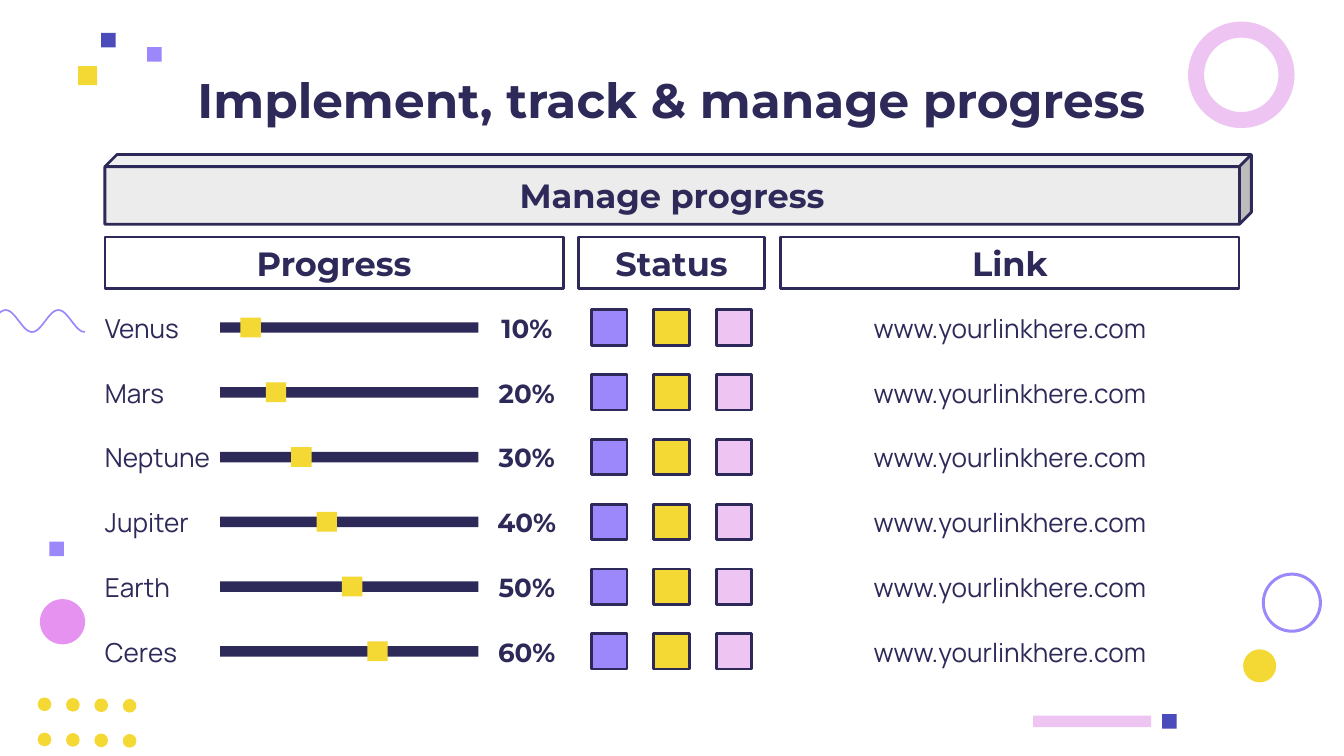
from math import cos, pi

from pptx import Presentation
from pptx.dml.color import RGBColor
from pptx.enum.shapes import MSO_SHAPE
from pptx.enum.text import MSO_ANCHOR, PP_ALIGN
from pptx.util import Pt

NAVY = RGBColor(0x2D, 0x29, 0x58)
BLUE = RGBColor(0x4B, 0x4B, 0xBB)
LILAC = RGBColor(0x9C, 0x88, 0xFA)
YELLOW = RGBColor(0xF4, 0xD8, 0x34)
PINK = RGBColor(0xED, 0xC4, 0xF2)
ROSE = RGBColor(0xE5, 0x92, 0xF1)
GREY = RGBColor(0xEC, 0xEC, 0xEC)
WHITE = RGBColor(0xFF, 0xFF, 0xFF)

HEAD, BODY = "Montserrat", "Manrope"
LEFT, TOP, PITCH, HIGH = 56.2, 162, 34.7, 27.4
LINK_X, WIDE = 418.3, 245.5


class Board:
    """Draws styled elements on the current slide, with lengths in points."""

    def __init__(self, slide):
        self.slide = slide
        self.shapes = slide.shapes
        fill = slide.background.fill
        fill.solid()
        fill.fore_color.rgb = WHITE

    def paint(self, shape, fill, line, width):
        shape.shadow.inherit = False
        if fill is None:
            shape.fill.background()
        else:
            shape.fill.solid()
            shape.fill.fore_color.rgb = fill
        if line is None:
            shape.line.fill.background()
        else:
            shape.line.color.rgb = line
            shape.line.width = Pt(width)

    def shape(self, kind, x, y, w, h, fill=None, line=None, adj=None):
        item = self.shapes.add_shape(kind, Pt(x), Pt(y), Pt(w), Pt(h))
        self.paint(item, fill, line, 1.5)
        if adj is not None:
            item.adjustments[0] = adj
        return item

    def rect(self, x, y, w, h, fill=None, line=None):
        return self.shape(MSO_SHAPE.RECTANGLE, x, y, w, h, fill, line)

    def disc(self, x, y, size, fill):
        return self.shape(MSO_SHAPE.OVAL, x, y, size, size, fill)

    def ring(self, x, y, size, fill, adj):
        return self.shape(MSO_SHAPE.DONUT, x, y, size, size, fill, adj=adj)

    def wave(self, x, y, period, height, turns, color):
        steps = int(turns * 24)
        dots = [(Pt(x + period * i / 24), Pt(y - height * cos(2 * pi * i / 24)))
                for i in range(steps + 1)]
        curve = self.shapes.build_freeform(*dots[0])
        curve.add_line_segments(dots[1:], close=False)
        self.paint(curve.convert_to_shape(), None, color, 0.9)

    def label(self, shape, text, size, font=HEAD, bold=True, inset=7.2,
              align=PP_ALIGN.CENTER):
        frame = shape.text_frame
        frame.word_wrap = True
        frame.vertical_anchor = MSO_ANCHOR.MIDDLE
        frame.margin_left = frame.margin_right = Pt(inset)
        frame.margin_top = frame.margin_bottom = Pt(inset)
        para = frame.paragraphs[0]
        para.alignment = align
        run = para.add_run()
        run.text = text
        run.font.name, run.font.size, run.font.bold = font, Pt(size), bold
        run.font.color.rgb = NAVY

    def text(self, x, y, w, h, text, size, **style):
        box = self.shapes.add_textbox(Pt(x), Pt(y), Pt(w), Pt(h))
        self.label(box, text, size, **style)


def decor(board):
    for col in range(4):
        for y in (373.7, 392.5):
            board.disc(20.2 + 15.2 * col, y + 0.25 * col, 7.3, YELLOW)
    board.wave(-25.2, 172, 28.24, 5.9, 2.5, LILAC)
    board.ring(636.5, 11.6, 57, PINK, 0.15)
    board.ring(676, 306.8, 32.2, LILAC, 0.05)
    board.disc(21.4, 321, 24.2, ROSE)
    board.disc(666, 347.9, 17.7, YELLOW)
    board.rect(553.5, 383.4, 63.2, 6.2, PINK)
    board.rect(41.8, 35.4, 10.3, 10.3, YELLOW)
    for x, y, fill in ((622.6, 382.6, BLUE), (78.8, 25.2, LILAC),
                       (54.1, 17.6, BLUE), (26.4, 290.2, LILAC)):
        board.rect(x, y, 7.8, 7.8, fill)


def header(board):
    cube = board.shape(MSO_SHAPE.CUBE, LEFT, 82.8, 614.2, 37.4, GREY, NAVY, 0.173)
    board.label(cube, "Manage progress", 18)
    board.text(59.8, 30.3, 600.4, 45.4, "Implement, track & manage progress", 26)
    for name, x, w in (("Progress", LEFT, WIDE), ("Status", 310, 99.6),
                       ("Link", LINK_X, WIDE)):
        board.label(board.rect(x, 127, w, HIGH, line=NAVY), name, 18)


def row(board, index, name):
    y = TOP + PITCH * index
    light = dict(font=BODY, bold=False, inset=0)
    board.text(LEFT, y, 62, HIGH, name, 14, align=PP_ALIGN.LEFT, **light)
    board.text(262.8, y, 38.9, HIGH, f"{10 * (index + 1)}%", 14, inset=0)
    board.text(LINK_X, y, WIDE, HIGH, "www.yourlinkhere.com", 14, **light)
    for col, fill in enumerate((LILAC, YELLOW, PINK)):
        board.rect(316.9 + 33.4 * col, y + 4, 19, 19, fill, NAVY)
    board.rect(117.9, y + 10.7, 138.4, 5.6, NAVY)
    board.rect(128.8 + 13.6 * index, y + 8.2, 10.9, 10.6, YELLOW)


def main():
    deck = Presentation()
    deck.slide_width, deck.slide_height = Pt(720), Pt(405)
    board = Board(deck.slides.add_slide(deck.slide_layouts[6]))
    decor(board)
    header(board)
    names = ("Venus", "Mars", "Neptune", "Jupiter", "Earth", "Ceres")
    for index, name in enumerate(names):
        row(board, index, name)
    deck.save("out.pptx")


if __name__ == "__main__":
    main()
